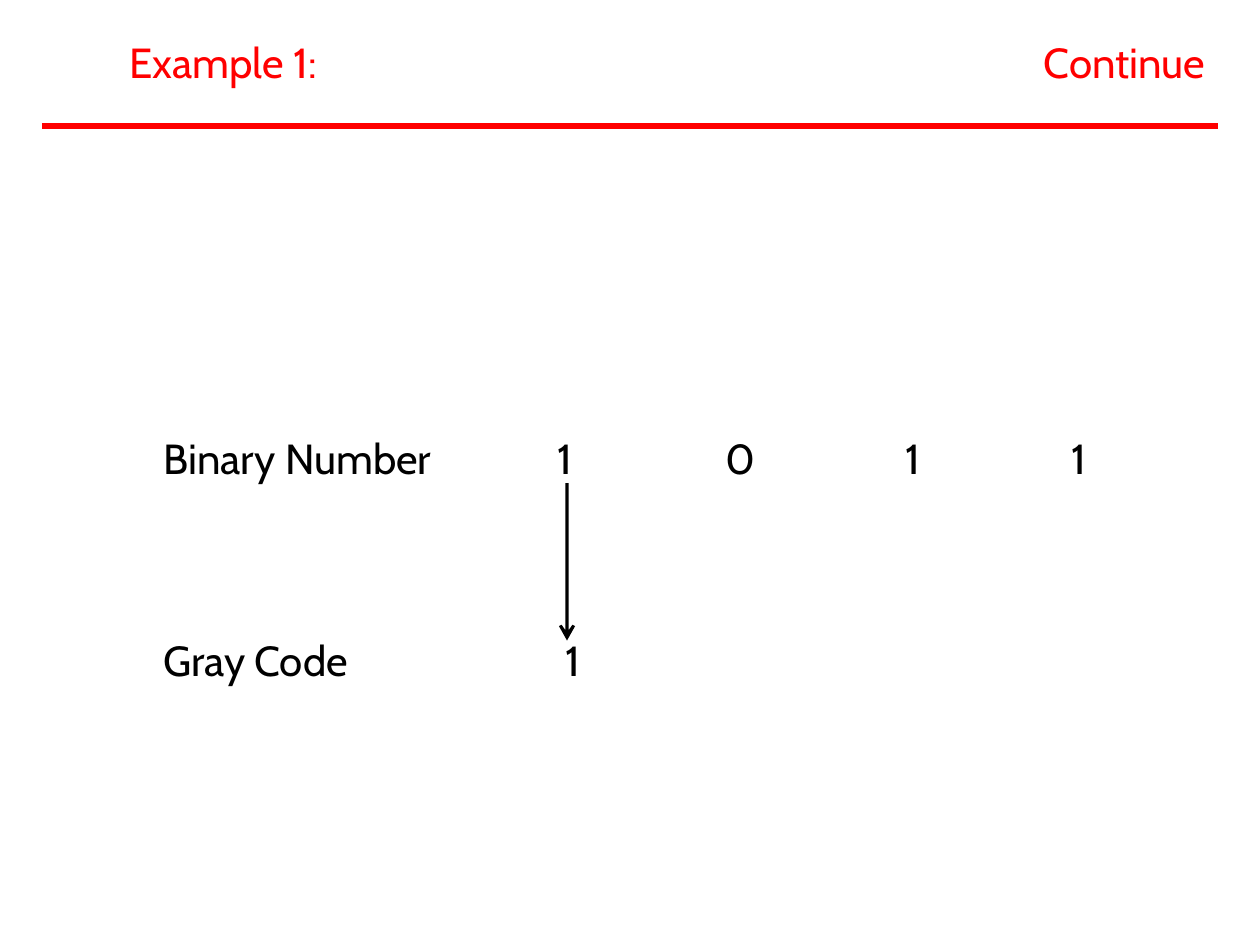
from lxml import etree
from pptx import Presentation
from pptx.dml.color import RGBColor
from pptx.enum.shapes import MSO_CONNECTOR
from pptx.enum.text import MSO_ANCHOR, PP_ALIGN
from pptx.oxml.ns import qn
from pptx.util import Pt

STRAIGHT = MSO_CONNECTOR.STRAIGHT
TOP = MSO_ANCHOR.TOP
LEFT = PP_ALIGN.LEFT
RED = RGBColor(0xFF, 0x00, 0x00)
BLACK = RGBColor(0x00, 0x00, 0x00)
FONT = "Cabin"
TEXT_SIZE = 24
TEXT_HEIGHT = 31
HEADER_TOP = 20
BINARY_TOP = 246
GRAY_TOP = 361.5
LABEL_LEFT = 93.5
DIGIT_WIDTH = 15
BINARY_DIGITS = ((318.5, "1"), (414.5, "0"), (517.5, "1"), (612.5, "1"))


def format_text(box, text, left, top, width, color):
    """Place a one-line text shape and format its text."""
    box.left, box.top = Pt(left), Pt(top)
    box.width, box.height = Pt(width), Pt(TEXT_HEIGHT)
    frame = box.text_frame
    frame.text = text
    frame.word_wrap = True
    frame.vertical_anchor = TOP
    frame.margin_left = frame.margin_right = frame.margin_bottom = 0
    frame.margin_top = Pt(1)
    para = frame.paragraphs[0]
    para.alignment = LEFT
    font = para.runs[0].font
    font.name = FONT
    font.size = Pt(TEXT_SIZE)
    font.color.rgb = color


def add_text(page, text, left, top, width, color=BLACK):
    """Add a text box with one line of text."""
    box = page.shapes.add_textbox(0, 0, 0, 0)
    format_text(box, text, left, top, width, color)


def add_rule(page, left, right, top, color, width):
    """Add a horizontal line."""
    ends = [Pt(value) for value in (left, top, right, top)]
    rule = page.shapes.add_connector(STRAIGHT, *ends)
    rule.line.color.rgb = color
    rule.line.width = Pt(width)
    etree.SubElement(rule._element.spPr, qn("a:effectLst"))


def add_down_arrow(page, center, top, tip, color):
    """Add a thin filled arrow with an open head that points down."""
    right = [(1, top), (1, tip - 6), (3.1, tip - 9), (4.6, tip - 8.2)]
    left = [(-offset, y) for offset, y in reversed(right)]
    points = [(Pt(center + offset), Pt(y)) for offset, y in right + [(0, tip)] + left]
    builder = page.shapes.build_freeform(*points[0])
    builder.add_line_segments(points[1:], close=True)
    arrow = builder.convert_to_shape()
    arrow.shadow.inherit = False
    arrow.fill.solid()
    arrow.fill.fore_color.rgb = color
    arrow.line.fill.background()


def main():
    """Build the slide on binary to Gray code conversion."""
    deck = Presentation()
    deck.slide_width, deck.slide_height = Pt(720), Pt(540)
    page = deck.slides.add_slide(deck.slide_layouts[5])

    format_text(page.shapes.title, "Continue", 596.5, HEADER_TOP, 100, RED)
    add_text(page, "Example 1:", 74, HEADER_TOP, 120, RED)
    add_rule(page, 24, 696, 72, RED, 4)

    add_text(page, "Binary Number", LABEL_LEFT, BINARY_TOP, 165)
    for left, digit in BINARY_DIGITS:
        add_text(page, digit, left, BINARY_TOP, DIGIT_WIDTH)

    add_text(page, "Gray Code", LABEL_LEFT, GRAY_TOP, 115)
    add_text(page, "1", 323, GRAY_TOP, DIGIT_WIDTH)
    add_down_arrow(page, 324, 276, 366, BLACK)

    deck.save("out.pptx")


if __name__ == "__main__":
    main()
